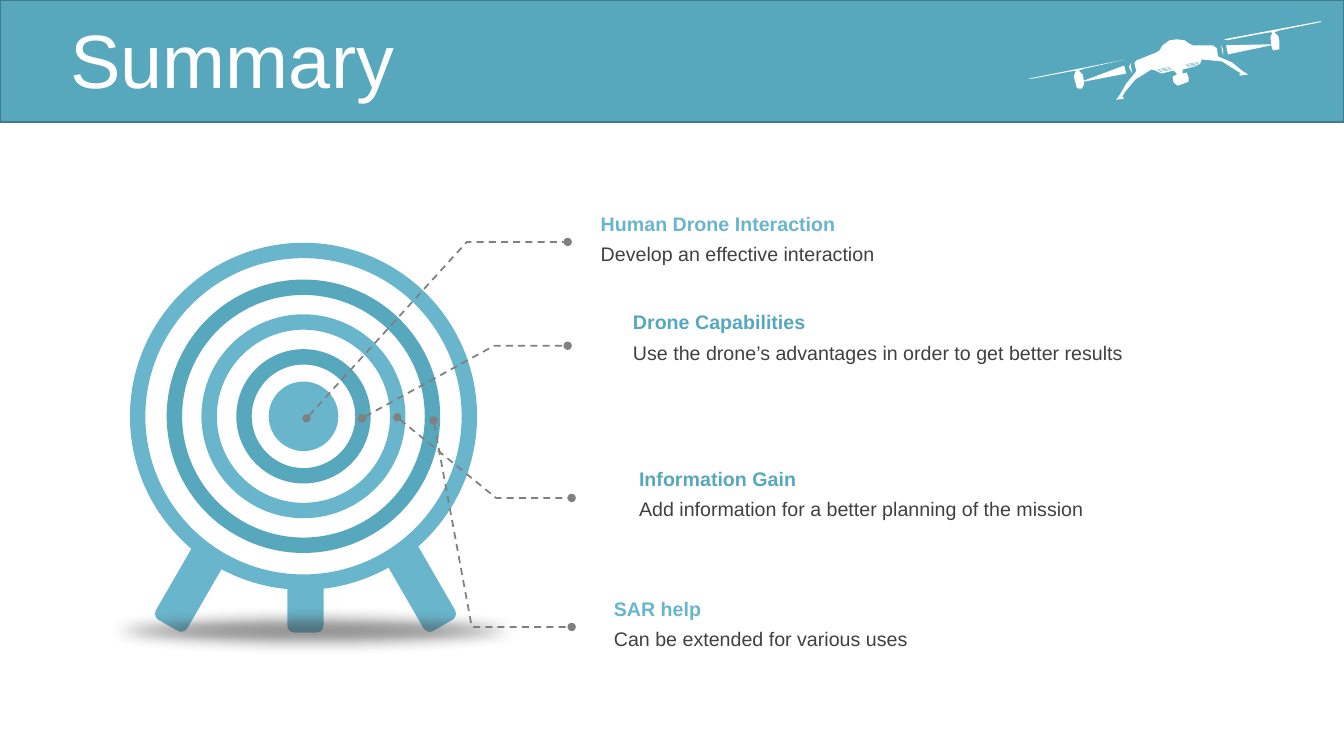
from lxml import etree
from pptx import Presentation
from pptx.dml.color import RGBColor
from pptx.enum.dml import MSO_LINE
from pptx.enum.shapes import MSO_CONNECTOR, MSO_SHAPE
from pptx.enum.text import MSO_ANCHOR, MSO_AUTO_SIZE, PP_ALIGN
from pptx.oxml.ns import qn
from pptx.util import Inches, Pt

RECT, ROUND, OVAL = MSO_SHAPE.RECTANGLE, MSO_SHAPE.ROUNDED_RECTANGLE, MSO_SHAPE.OVAL
STRAIGHT, DASH = MSO_CONNECTOR.STRAIGHT, MSO_LINE.DASH
MIDDLE, LEFT = MSO_ANCHOR.MIDDLE, PP_ALIGN.LEFT
FIT, NO_FIT = MSO_AUTO_SIZE.SHAPE_TO_FIT_TEXT, MSO_AUTO_SIZE.NONE

TEAL, SKY, WHITE, DARK, GRAY = "57A7BD", "69B6CC", "FFFFFF", "404040", "808080"

# Drone outlines, in inches from the top left corner of the drone's box
DRONE_PARTS = [
    # right rotor and arm
    [(1.94, .18), (2.9, 0), (2.9, .01), (2.5, .09), (2.44, .11), (2.48, .15), (2.49, .21),
     (2.49, .28), (2.43, .29), (2.42, .28), (2.41, .24), (1.98, .33), (1.96, .24),
     (2.41, .23), (2.4, .16), (2.42, .12), (2.41, .11), (2.34, .12), (1.97, .19)],
    # left rotor and arm
    [(.95, .44), (.97, .52), (.55, .6), (.55, .63), (.53, .67), (.5, .67), (.48, .66),
     (.45, .55), (.47, .49), (.41, .5), (.04, .57), (0, .57), (.96, .38), (.56, .47),
     (.5, .49), (.54, .53), (.55, .59)],
    # arm joints
    [(1.01, .41), (1.03, .52), (1, .46)],
    [(1.91, .24), (1.93, .28), (1.93, .34)],
    # body, landing legs and camera
    [(2.15, .51), (2.13, .5), (2.02, .41), (1.88, .35), (1.87, .27), (1.83, .24),
     (1.63, .24), (1.59, .22), (1.55, .19), (1.47, .18), (1.4, .19), (1.33, .24),
     (1.3, .29), (1.27, .31), (1.07, .39), (1.05, .42), (1.07, .49), (1.06, .51),
     (.97, .62), (.9, .74), (.87, .78), (.94, .77), (.95, .76), (.93, .75), (.96, .7),
     (1.06, .58), (1.22, .48), (1.26, .49), (1.32, .52), (1.44, .49), (1.47, .52),
     (1.47, .53), (1.43, .55), (1.44, .61), (1.48, .64), (1.54, .62), (1.59, .6),
     (1.59, .56), (1.57, .51), (1.53, .52), (1.53, .48), (1.65, .45), (1.7, .43),
     (1.72, .38), (1.92, .4), (2.11, .52), (2.09, .53), (2.1, .54), (2.18, .53)],
]


def color(hex_string):
    return RGBColor.from_string(hex_string)


def style(sp, fill=None, line=None, width=1):
    sp.shadow.inherit = False
    if fill:
        sp.fill.solid()
        sp.fill.fore_color.rgb = color(fill)
    else:
        sp.fill.background()
    if line:
        sp.line.color.rgb = color(line)
        sp.line.width = Pt(width)
    else:
        sp.line.fill.background()


def add_shape(s, kind, x, y, w, h, **look):
    sp = s.shapes.add_shape(kind, Inches(x), Inches(y), Inches(w), Inches(h))
    style(sp, **look)
    return sp


def add_path(s, points, closed, **look):
    points = [(Inches(x), Inches(y)) for x, y in points]
    builder = s.shapes.build_freeform(*points[0])
    builder.add_line_segments(points[1:], close=closed)
    sp = builder.convert_to_shape()
    style(sp, **look)
    return sp


def set_text(tf, text, **font):
    tf.word_wrap = True
    p = tf.paragraphs[0]
    p.alignment = LEFT
    r = p.add_run()
    r.text = text
    r.font.color.rgb = color(font.pop("color"))
    for name, value in {"name": "Arial", **font}.items():
        setattr(r.font, name, value)
    return p


def add_header(s, title, w, h):
    band = add_shape(s, RECT, 0, 0, w, h, fill=TEAL, line="407C8C")
    ph = s.shapes.title
    ph._element.addprevious(band._element)
    box = {"left": 0.6, "top": 0.24, "width": 12.41, "height": 0.79}
    for name, value in box.items():
        setattr(ph, name, Inches(value))
    tf = ph.text_frame
    tf.auto_size = NO_FIT
    tf.vertical_anchor = MIDDLE
    set_text(tf, title, size=Pt(54), color=WHITE).line_spacing = 0.9
    add_drone(s, 10.2, 0.21)


def add_drone(s, x, y):
    for part in DRONE_PARTS:
        add_path(s, [(x + dx, y + dy) for dx, dy in part], True, fill=WHITE)
    for vent_x, vent_y in ((1.28, 0.48), (1.56, 0.43)):
        for i in range(3):
            left, top = x + vent_x + i * 0.01, y + vent_y + i * 0.01
            vent = s.shapes.add_connector(STRAIGHT, Inches(left), Inches(top),
                                          Inches(left + 0.12), Inches(top - 0.02))
            vent.line.color.rgb = color(TEAL)
            vent.line.width = Pt(0.25)
            etree.SubElement(vent._element.spPr, qn("a:effectLst"))


def add_target(s, cx, cy):
    """Draw the target on its stand, with the rings centred on (cx, cy)."""
    leg_w, leg_h = 0.36, 2.25
    for dx, dy, angle in ((0.02, 1.02, 0), (0.82, 1.1, 330), (-0.78, 1.1, 30)):
        leg = add_shape(s, ROUND, cx + dx - leg_w / 2, cy + dy - leg_h / 2,
                        leg_w, leg_h, fill=SKY)
        leg.adjustments[0] = 0.194
        leg.rotation = angle
    for d, line in ((3.29, SKY), (2.56, TEAL), (1.87, SKY), (1.18, TEAL)):
        add_shape(s, OVAL, cx - d / 2, cy - d / 2, d, d, fill=WHITE, line=line, width=11)
    d = 0.69
    add_shape(s, OVAL, cx - d / 2, cy - d / 2, d, d, fill=SKY)

    ground = add_shape(s, OVAL, cx - 2.41, cy + 1.88, 5.01, 0.49, fill=DARK)
    spPr = ground._element.spPr
    rgb = spPr.find(qn("a:solidFill")).find(qn("a:srgbClr"))
    etree.SubElement(rgb, qn("a:alpha"), val="58000")
    etree.SubElement(spPr.find(qn("a:effectLst")), qn("a:softEdge"), rad="127000")


def add_callout(s, x, y, heading, detail, accent, leader):
    """Place a heading and its detail at (x, y), with a dashed leader."""
    rows = ((heading, accent, True), (detail, DARK, False))
    for i, (text, ink, bold) in enumerate(rows):
        tb = s.shapes.add_textbox(Inches(x), Inches(y + i * 0.3), Inches(6.16), Inches(0.34))
        set_text(tb.text_frame, text, size=Pt(14), color=ink, bold=bold)
        tb.text_frame.auto_size = FIT
    sp = add_path(s, leader, False, line=GRAY, width=1.25)
    sp.line.dash_style = DASH
    for end in ("a:headEnd", "a:tailEnd"):
        etree.SubElement(sp.line._ln, qn(end), type="oval")


def main():
    prs = Presentation()
    prs.slide_width, prs.slide_height = Inches(13.33), Inches(7.5)
    s = prs.slides.add_slide(prs.slide_layouts[5])
    add_header(s, "Summary", 13.33, 1.21)
    add_target(s, 3.01, 4.13)
    callouts = [
        (5.86, 2.05, "Human Drone Interaction", "Develop an effective interaction",
         SKY, [(3.04, 4.15), (4.63, 2.4), (5.63, 2.4)]),
        (6.18, 3.03, "Drone Capabilities",
         "Use the drone’s advantages in order to get better results",
         TEAL, [(3.59, 4.15), (4.9, 3.43), (5.63, 3.43)]),
        (6.24, 4.58, "Information Gain",
         "Add information for a better planning of the mission",
         TEAL, [(3.94, 4.14), (4.92, 4.94), (5.67, 4.94)]),
        (5.99, 5.87, "SAR help", "Can be extended for various uses",
         SKY, [(4.3, 4.17), (4.68, 6.22), (5.67, 6.22)]),
    ]
    for callout in callouts:
        add_callout(s, *callout)
    prs.save("out.pptx")


if __name__ == "__main__":
    main()
